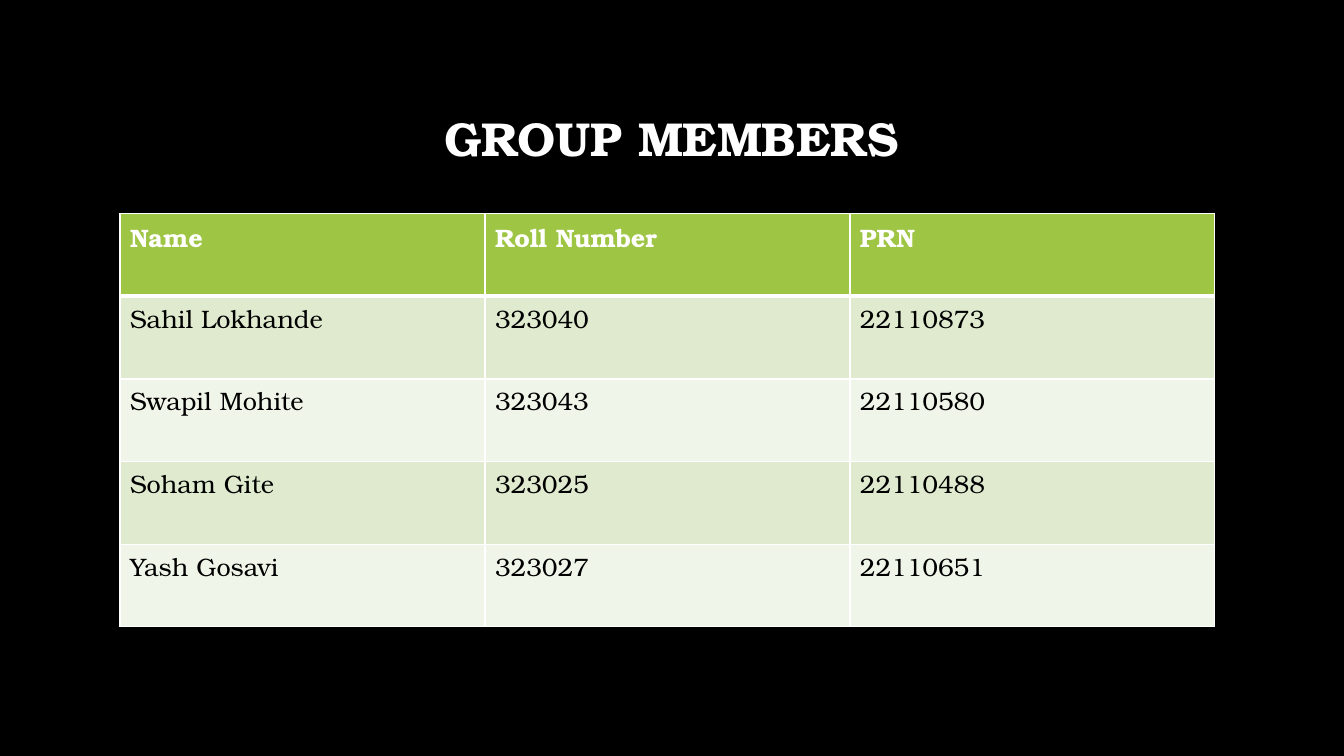
from lxml.etree import SubElement
from pptx import Presentation
from pptx.dml.color import RGBColor as Rgb
from pptx.enum.text import MSO_ANCHOR as Anchor, PP_ALIGN as Align
from pptx.oxml.ns import qn
from pptx.util import Inches, Pt

COLORS = {
    "background": "000000",
    "light": "FFFFFF",
    "dark": "000000",
    "header": "9EC544",
    "odd_row": "DFEACF",
    "even_row": "F0F5E9",
}

MEMBERS = [
    ("Name", "Roll Number", "PRN"),
    ("Sahil Lokhande", "323040", "22110873"),
    ("Swapil Mohite", "323043", "22110580"),
    ("Soham Gite", "323025", "22110488"),
    ("Yash Gosavi", "323027", "22110651"),
]


class SlideBuilder:
    font_name = "TeX Gyre Bonum"

    def __init__(self, slide):
        self.slide = slide

    def background(self, color):
        fill = self.slide.background.fill
        fill.solid()
        fill.fore_color.rgb = Rgb.from_string(COLORS[color])

    def style(self, paragraph, size, color, bold):
        font = paragraph.font
        font.name = self.font_name
        font.size = Pt(size)
        font.bold = bold
        font.color.rgb = Rgb.from_string(COLORS[color])

    def title(self, text, left, top, width, height):
        heading = self.slide.shapes.title
        heading.left, heading.top = Inches(left), Inches(top)
        heading.width, heading.height = Inches(width), Inches(height)
        frame = heading.text_frame
        frame.text = text
        frame.word_wrap = True
        frame.vertical_anchor = Anchor.MIDDLE
        line = frame.paragraphs[0]
        line.alignment = Align.CENTER
        line.line_spacing = 0.9
        self.style(line, 34, "light", True)

    def border(self, cell, side, width):
        edge = SubElement(cell._tc.get_or_add_tcPr(), qn(f"a:ln{side}"), w=str(Pt(width)))
        paint = SubElement(edge, qn("a:solidFill"))
        SubElement(paint, qn("a:srgbClr"), val=COLORS["light"])

    def table(self, rows, left, top, column_width, row_height):
        columns = len(rows[0])
        grid = self.slide.shapes.add_table(
            len(rows), columns, Inches(left), Inches(top),
            Inches(column_width * columns), Inches(row_height * len(rows))).table
        for r, values in enumerate(rows):
            is_header = r == 0
            fill = "header" if is_header else ("odd_row" if r % 2 else "even_row")
            for c, value in enumerate(values):
                cell = grid.cell(r, c)
                cell.text = value
                self.style(cell.text_frame.paragraphs[0], 18,
                           "light" if is_header else "dark", is_header)
                # The rule between header and body is thicker
                widths = {"L": 1, "R": 1, "T": 3 if r == 1 else 1, "B": 3 if is_header else 1}
                for side, width in widths.items():
                    self.border(cell, side, width)
                cell.fill.solid()
                cell.fill.fore_color.rgb = Rgb.from_string(COLORS[fill])


def main():
    deck = Presentation()
    deck.slide_width, deck.slide_height = Inches(13.33), Inches(7.5)
    # Title-only layout
    builder = SlideBuilder(deck.slides.add_slide(deck.slide_layouts[5]))
    builder.background("background")

    # Heading
    builder.title("GROUP MEMBERS", 1, 0.67, 11.32, 1.45)

    # Member list
    builder.table(MEMBERS, 1.19, 2.12, column_width=3.62, row_height=0.82)

    deck.save("out.pptx")


if __name__ == "__main__":
    main()
